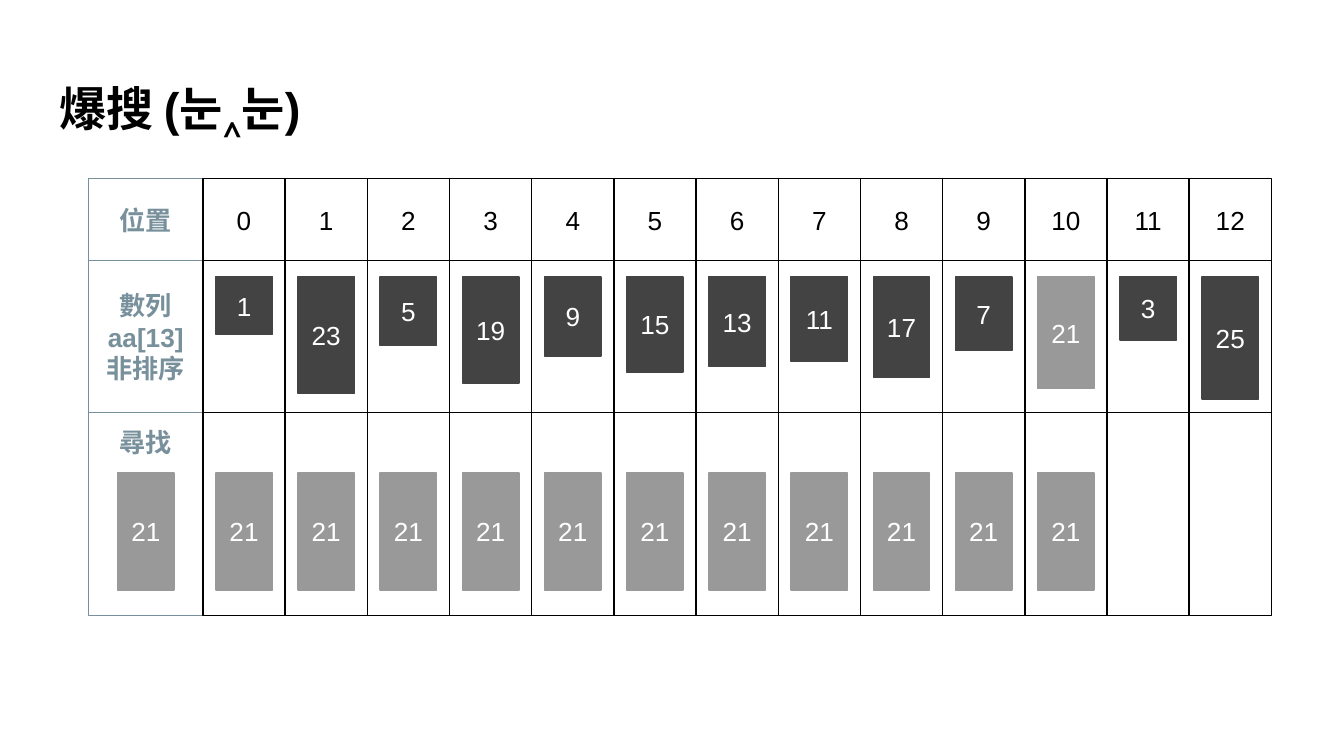
from dataclasses import dataclass

from pptx import Presentation
from pptx.dml.color import RGBColor
from pptx.enum.shapes import MSO_SHAPE
from pptx.enum.text import MSO_ANCHOR, MSO_AUTO_SIZE, PP_ALIGN
from pptx.util import Inches, Pt

RECTANGLE = MSO_SHAPE.RECTANGLE
TOP, MIDDLE = MSO_ANCHOR.TOP, MSO_ANCHOR.MIDDLE
LEFT, CENTER = PP_ALIGN.LEFT, PP_ALIGN.CENTER
NO_AUTOFIT = MSO_AUTO_SIZE.NONE
TITLE_ONLY = 5


@dataclass(frozen=True)
class Theme:
    """Colours, type sizes and line width of the deck."""
    font: str = "Arial"
    ink: RGBColor = RGBColor(0x00, 0x00, 0x00)
    paper: RGBColor = RGBColor(0xFF, 0xFF, 0xFF)
    label: RGBColor = RGBColor(0x78, 0x90, 0x9C)
    bar: RGBColor = RGBColor(0x43, 0x43, 0x43)
    target: RGBColor = RGBColor(0x99, 0x99, 0x99)
    title_size: float = 25.2
    body_size: float = 14
    line_width: float = 0.75


THEME = Theme()
VALUES = [1, 23, 5, 19, 9, 15, 13, 11, 17, 7, 21, 3, 25]
TARGET = 21
LABEL_WIDTH = 0.85
GRID_WIDTH = 8.8
CELL_WIDTH = (GRID_WIDTH - LABEL_WIDTH) / len(VALUES)
BAR_WIDTH = 0.42
SEARCH_BAR_HEIGHT = 0.87


def bar_height(value):
    """Return the bar height that stands for a value."""
    return 0.41 + 0.02 * value


def set_text(shape, text, size, color, bold=False, align=CENTER, anchor=MIDDLE):
    """Write text into a shape and format all its runs."""
    frame = shape.text_frame
    frame.text = text
    frame.word_wrap = True
    frame.auto_size = NO_AUTOFIT
    frame.vertical_anchor = anchor
    frame.margin_left = frame.margin_right = Inches(0.1)
    frame.margin_top = frame.margin_bottom = Inches(0.1)
    for para in frame.paragraphs:
        para.alignment = align
        for span in para.runs:
            span.font.name = THEME.font
            span.font.size = Pt(size)
            span.font.bold = bold
            span.font.color.rgb = color


def add_box(page, box, line, fill=None):
    """Add an outlined rectangle, filled if a fill colour is given."""
    shape = page.shapes.add_shape(RECTANGLE, *map(Inches, box))
    shape.shadow.inherit = False
    shape.line.color.rgb = line
    shape.line.width = Pt(THEME.line_width)
    if fill is None:
        shape.fill.background()
    else:
        shape.fill.solid()
        shape.fill.fore_color.rgb = fill
    return shape


def add_bar(page, cell_box, offset, value, height):
    """Add a value bar centred across a cell, at an offset from its top."""
    left, top, width, _ = cell_box
    color = THEME.target if value == TARGET else THEME.bar
    bar_box = (left + (width - BAR_WIDTH) / 2, top + offset, BAR_WIDTH, height)
    bar = add_box(page, bar_box, color, color)
    set_text(bar, str(value), THEME.body_size, THEME.paper)


def add_row(page, box, label, anchor=MIDDLE):
    """Add a row label and its empty cells, and return label box, cells and cell boxes."""
    left, top, _, height = box
    label_box = (left, top, LABEL_WIDTH, height)
    label_shape = add_box(page, label_box, THEME.label)
    set_text(label_shape, label, THEME.body_size, THEME.label, bold=True, anchor=anchor)
    cell_boxes = [
        (left + LABEL_WIDTH + index * CELL_WIDTH, top, CELL_WIDTH, height)
        for index in range(len(VALUES))
    ]
    cells = [add_box(page, cell_box, THEME.ink) for cell_box in cell_boxes]
    return label_box, cells, cell_boxes


def add_title(page, box, text):
    """Place and format the title placeholder."""
    title = page.shapes.title
    title.left, title.top, title.width, title.height = map(Inches, box)
    set_text(title, text, THEME.title_size, THEME.ink, bold=True, align=LEFT, anchor=TOP)


def add_index_row(page, box):
    """Add the row of positions."""
    _, cells, _ = add_row(page, box, "位置")
    for index, cell in enumerate(cells):
        set_text(cell, str(index), THEME.body_size, THEME.ink)


def add_value_row(page, box):
    """Add the row of unsorted values, drawn as bars."""
    _, _, cell_boxes = add_row(page, box, "數列\naa[13]\n非排序")
    for value, cell_box in zip(VALUES, cell_boxes):
        add_bar(page, cell_box, 0.12, value, bar_height(value))


def add_search_row(page, box):
    """Add the row that compares the target up to where it is found."""
    label_box, _, cell_boxes = add_row(page, box, "尋找", TOP)
    visited = cell_boxes[:VALUES.index(TARGET) + 1]
    for target_box in [label_box, *visited]:
        add_bar(page, target_box, 0.45, TARGET, SEARCH_BAR_HEIGHT)


def build_search_slide(deck):
    """Build the brute-force search slide."""
    page = deck.slides.add_slide(deck.slide_layouts[TITLE_ONLY])
    page.background.fill.solid()
    page.background.fill.fore_color.rgb = THEME.paper
    add_title(page, (0.34, 0.49, 9.32, 0.63), "爆搜 (눈‸눈)")
    left, top = 0.66, 1.33
    rows = [(add_index_row, 0.61), (add_value_row, 1.13), (add_search_row, 1.51)]
    for add_region, height in rows:
        add_region(page, (left, top, GRID_WIDTH, height))
        top += height


def main():
    """Create and save the deck."""
    deck = Presentation()
    deck.slide_width = Inches(10)
    deck.slide_height = deck.slide_width * 9 // 16
    build_search_slide(deck)
    deck.save("out.pptx")


if __name__ == "__main__":
    main()
